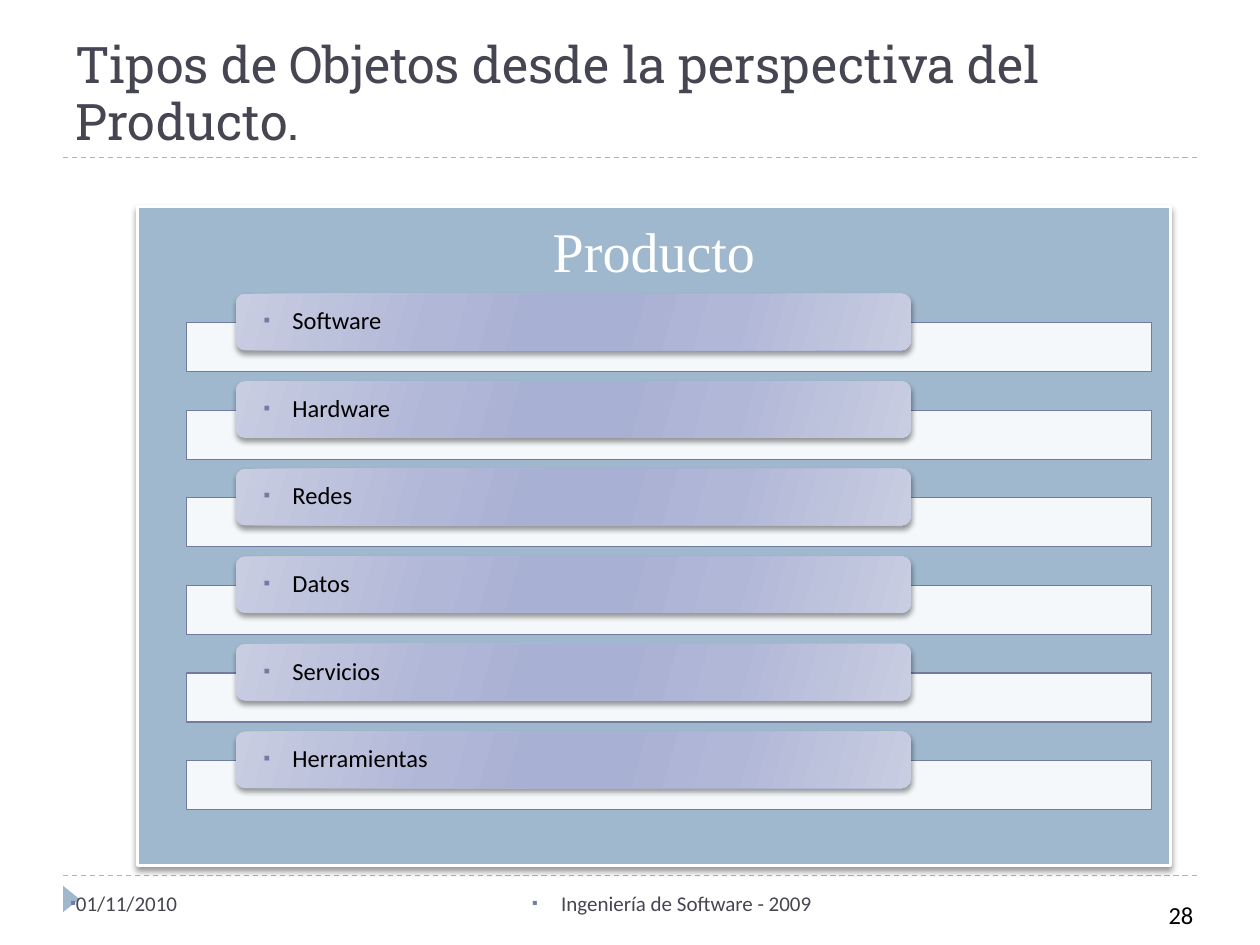
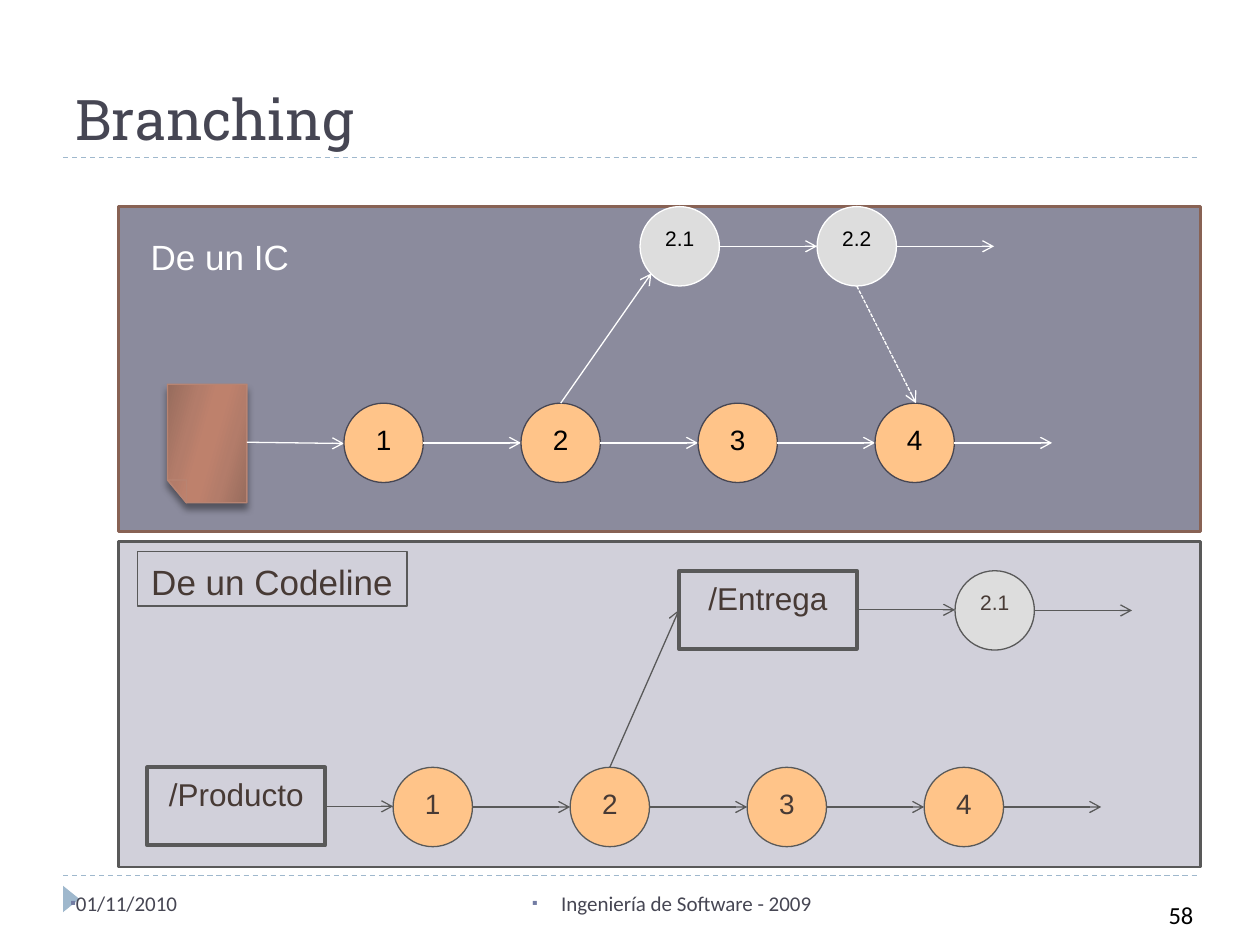
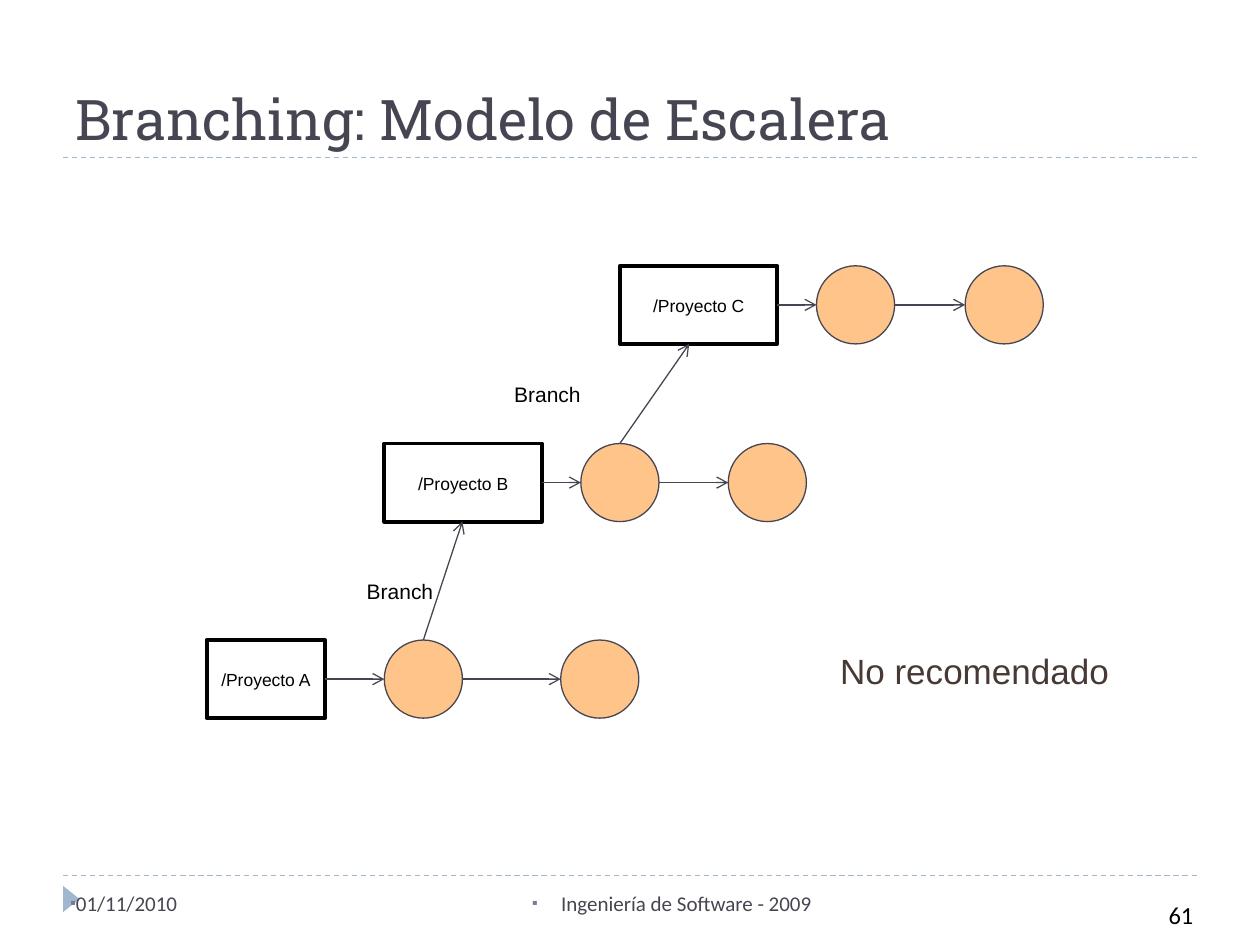
from dataclasses import dataclass
from itertools import pairwise

from lxml import etree
from pptx import Presentation
from pptx.dml.color import RGBColor
from pptx.enum import dml, shapes, text
from pptx.oxml.ns import qn
from pptx.util import Inches, Pt


@dataclass(frozen=True)
class Theme:
    ink: str = "464653"
    accent: str = "9FB8CD"
    bullet: str = "727CA3"
    white: str = "FFFFFF"
    black: str = "000000"
    brown: str = "473A35"
    grey: str = "595959"
    orange: str = "FFC489"
    silver: str = "DDDDDD"
    dusk: str = "8B8B9D"
    rust: str = "886254"
    mist: str = "D1D0DA"
    clay: str = "B88472"
    lavender: tuple = ("C9CDE2", "B1B7D7", "A8B0D3")
    copper: tuple = ("976C5D", "B37C6A", "BE816C")
    title_font: str = "Roboto Slab"
    body_font: str = "Calibri"
    label_font: str = "Arial"
    panel_font: str = "Times New Roman"
    title: float = 32
    long_title: float = 28.8
    panel: float = 32
    heading: float = 20
    codeline: float = 18
    node: float = 16
    item: float = 14
    small: float = 12
    box: float = 10
    thin: float = 0.75
    thick: float = 2.25


T = Theme()
KIND = shapes.MSO_SHAPE
LEFT, CENTER, RIGHT = text.PP_ALIGN.LEFT, text.PP_ALIGN.CENTER, text.PP_ALIGN.RIGHT
TOP, MIDDLE, BOTTOM = text.MSO_ANCHOR.TOP, text.MSO_ANCHOR.MIDDLE, text.MSO_ANCHOR.BOTTOM

DATE = "01/11/2010"
COURSE = "Ingeniería de Software - 2009"

PRODUCT = "Producto"
PRODUCT_PARTS = ["Software", "Hardware", "Redes", "Datos", "Servicios", "Herramientas"]

VERSIONS = ["1", "2", "3", "4"]
VERSION_SIZE, VERSION_PITCH = 0.63, 1.405
DOCUMENT = [(1.33, 3.05), (1.96, 3.05), (1.96, 3.99), (1.48, 3.99), (1.33, 3.81)]
DOCUMENT_FOLD = [(1.33, 3.81), (1.48, 3.81), (1.48, 3.99)]
CODELINES = [("/Producto", 1.17, 6.09), ("/Entrega", 5.39, 4.53)]

PROJECT_SIZE = 0.62
PROJECTS = [
    ("/Proyecto A", 1.64, 5.08, 0.94, (3.05, 4.45)),
    ("/Proyecto B", 3.05, 3.52, 1.25, (4.61, 5.78)),
    ("/Proyecto C", 4.92, 2.11, 1.25, (6.48, 7.66)),
]
BRANCH = "Branch"
BRANCHES = [(3.67, 2.81, 4.53), (5.47, 3.98, 2.97)]
VERDICT = "No recomendado"


def rgb(color):
    return RGBColor.from_string(color)


def child(parent, tag, **attributes):
    part = etree.SubElement(parent, qn(tag))
    for key, value in attributes.items():
        part.set(key, str(value))
    return part


def write(shape, words, size, color, font=T.label_font, align=CENTER, anchor=TOP,
          wrap=True, spacing=1.05):
    frame = shape.text_frame
    frame.word_wrap = wrap
    frame.vertical_anchor = anchor
    line = frame.paragraphs[0]
    line.alignment = align
    line.line_spacing = spacing
    run = line.add_run()
    run.text = words
    run.font.size = Pt(size)
    run.font.name = font
    run.font.color.rgb = rgb(color)
    return shape


def add_bullet(shape, indent):
    props = shape.text_frame.paragraphs[0]._p.get_or_add_pPr()
    props.set("marL", str(Inches(indent)))
    props.set("indent", str(-Inches(indent)))
    child(child(props, "a:buClr"), "a:srgbClr", val=T.bullet)
    child(props, "a:buSzPct", val=76000)
    child(props, "a:buFont", typeface=T.body_font)
    child(props, "a:buChar", char="▪")


def fill_gradient(shape, colors):
    edge, near, core = colors
    shape.fill.background()
    empty = shape._element.spPr.find(qn("a:noFill"))
    gradient = etree.Element(qn("a:gradFill"), rotWithShape="1")
    stops = child(gradient, "a:gsLst")
    for percent, color in zip((0, 30, 45, 55, 73, 100), (edge, near, core, core, near, edge)):
        child(child(stops, "a:gs", pos=percent * 1000), "a:srgbClr", val=color)
    child(gradient, "a:lin", ang=16 * 60000, scaled=0)
    empty.getparent().replace(empty, gradient)


def cast_shadow(shape, blur=3, distance=2):
    effects = shape._element.spPr.find(qn("a:effectLst"))
    shadow = child(effects, "a:outerShdw", blurRad=Pt(blur), dist=Pt(distance),
                   dir=90 * 60000, algn="t", rotWithShape=0)
    child(child(shadow, "a:srgbClr", val=T.black), "a:alpha", val=40000)


def paint(shape, fill=None, line=None, width=T.thin):
    shape.shadow.inherit = False
    if isinstance(fill, tuple):
        fill_gradient(shape, fill)
    elif fill:
        shape.fill.solid()
        shape.fill.fore_color.rgb = rgb(fill)
    else:
        shape.fill.background()
    if line:
        shape.line.color.rgb = rgb(line)
        shape.line.width = Pt(width)
    else:
        shape.line.fill.background()
    return shape


def draw(slide, kind, at, fill=None, line=None, width=T.thin):
    return paint(slide.shapes.add_shape(kind, *map(Inches, at)), fill, line, width)


def outline(slide, corners, fill=None, line=None):
    first, *rest = [tuple(map(Inches, corner)) for corner in corners]
    builder = slide.shapes.build_freeform(*first, scale=1.0)
    builder.add_line_segments(rest, close=True)
    return paint(builder.convert_to_shape(), fill, line)


def label(slide, at, words, size, color, **style):
    return write(slide.shapes.add_textbox(*map(Inches, at)), words, size, color, **style)


def connect(slide, start, end, color, dash=None, arrow=True):
    link = slide.shapes.add_connector(shapes.MSO_CONNECTOR.STRAIGHT,
                                      *map(Inches, (*start, *end)))
    link.line.color.rgb = rgb(color)
    link.line.width = Pt(T.thin)
    if dash:
        link.line.dash_style = dash
    props = link._element.spPr
    if arrow:
        child(props.find(qn("a:ln")), "a:tailEnd", type="arrow")
    child(props, "a:effectLst")


def add_page(deck, title, number, size=T.title, spacing=1.0):
    slide = deck.slides.add_slide(deck.slide_layouts[6])
    for y in (6.95, 1.25):
        connect(slide, (0.5, y), (9.5, y), T.accent, dml.MSO_LINE.DASH, arrow=False)
    draw(slide, KIND.ISOSCELES_TRIANGLE, (0.46, 7.07, 0.21, 0.13), T.accent).rotation = 90
    label(slide, (0.5, 0.17, 9, 1.08), title, size, T.ink, font=T.title_font,
          align=LEFT, anchor=BOTTOM, spacing=spacing)
    footers = [
        ((0.46, 7.02, 2.33, 0.4), DATE, LEFT, 0),
        ((3.37, 7.02, 3.17, 0.4), COURSE, RIGHT, 0.23),
    ]
    for at, words, align, indent in footers:
        footer = label(slide, at, words, T.small, T.ink, font=T.body_font,
                       align=align, spacing=1.0)
        add_bullet(footer, indent)
    label(slide, (7.66, 7.09, 1.91, 0.33), number, T.item, T.black, font=T.body_font,
          align=RIGHT, spacing=1.0)
    return slide


def add_versions(slide, names, left, top, fill, size, edge, ink, arrow):
    middle = top + VERSION_SIZE / 2
    for index, name in enumerate(names):
        x = left + index * VERSION_PITCH
        circle = draw(slide, KIND.OVAL, (x, top, VERSION_SIZE, VERSION_SIZE), fill, edge)
        write(circle, name, size, ink, wrap=False)
        connect(slide, (x + VERSION_SIZE, middle), (x + VERSION_PITCH, middle), arrow)


def build_products(deck):
    slide = add_page(deck, "Tipos de Objetos desde la perspectiva del Producto.", "28",
                     T.long_title, 0.93)
    panel = draw(slide, KIND.RECTANGLE, (1.09, 1.64, 8.2, 5.23), T.accent, T.white, 2)
    cast_shadow(panel)
    write(panel, PRODUCT, T.panel, T.white, font=T.panel_font)
    for index, part in enumerate(PRODUCT_PARTS):
        top = 2.33 + index * 0.695
        bar = draw(slide, KIND.RECTANGLE, (1.48, top + 0.23, 7.66, 0.39), T.white, T.bullet)
        color = bar._element.spPr.find(qn("a:solidFill")).find(qn("a:srgbClr"))
        child(color, "a:alpha", val=90000)
        tab = draw(slide, KIND.ROUNDED_RECTANGLE, (1.87, top, 5.36, 0.45), T.lavender)
        cast_shadow(tab)
        write(tab, part, T.item, T.black, font=T.body_font, align=LEFT,
              anchor=MIDDLE, spacing=0.9)
        frame = tab.text_frame
        frame.margin_left = frame.margin_right = Inches(0.2)
        frame.margin_top = frame.margin_bottom = 0
        add_bullet(tab, 0.23)


def build_branching(deck):
    slide = add_page(deck, "Branching", "58")
    draw(slide, KIND.RECTANGLE, (0.94, 1.64, 8.59, 2.58), T.dusk, T.rust, 1.5)
    draw(slide, KIND.RECTANGLE, (0.94, 4.3, 8.59, 2.58), T.mist, T.grey, 1.5)

    cast_shadow(outline(slide, DOCUMENT, T.copper, T.clay), 4, 3.4)
    outline(slide, DOCUMENT_FOLD, line=T.clay)
    connect(slide, (1.96, 3.51), (2.73, 3.52), T.white)
    add_versions(slide, VERSIONS, 2.73, 3.2, T.orange, T.node, T.ink, T.black, T.white)
    add_versions(slide, ["2.1", "2.2"], 5.08, 1.64, T.silver, T.small,
                 T.white, T.black, T.white)
    connect(slide, (4.45, 3.2), (5.17, 2.17), T.white)
    connect(slide, (6.8, 2.27), (7.27, 3.2), T.white, dml.MSO_LINE.SQUARE_DOT)

    add_versions(slide, VERSIONS, 3.12, 6.09, T.orange, T.node, T.grey, T.brown, T.grey)
    add_versions(slide, ["2.1"], 7.58, 4.53, T.silver, T.small, T.grey, T.brown, T.grey)
    connect(slide, (4.84, 6.09), (5.39, 4.84), T.grey)
    for (name, left, top), first_version in zip(CODELINES, (3.12, 7.58)):
        box = draw(slide, KIND.RECTANGLE, (left, top, 1.41, 0.62), line=T.grey, width=T.thick)
        write(box, name, T.codeline, T.brown)
        connect(slide, (left + 1.41, top + 0.31), (first_version, top + 0.31), T.grey)

    label(slide, (1.09, 1.8, 1.31, 0.43), "De un IC", T.heading, T.white, wrap=False)
    heading = draw(slide, KIND.RECTANGLE, (1.09, 4.38, 2.14, 0.43), line=T.grey)
    write(heading, "De un Codeline", T.heading, T.brown, wrap=False)


def build_ladder(deck):
    slide = add_page(deck, "Branching: Modelo de Escalera", "61")
    for name, left, top, width, versions in PROJECTS:
        box = draw(slide, KIND.RECTANGLE, (left, top, width, PROJECT_SIZE),
                   line=T.black, width=T.thick)
        write(box, name, T.box, T.black, anchor=MIDDLE, wrap=False)
        middle, exit_x = top + PROJECT_SIZE / 2, left + width
        for x in versions:
            draw(slide, KIND.OVAL, (x, top, PROJECT_SIZE, PROJECT_SIZE), T.orange, T.ink)
            connect(slide, (exit_x, middle), (x, middle), T.ink)
            exit_x = x + PROJECT_SIZE
    for (lower, upper), (target, left, top) in zip(pairwise(PROJECTS), BRANCHES):
        source = lower[4][0] + PROJECT_SIZE / 2
        connect(slide, (source, lower[2]), (target, upper[2] + PROJECT_SIZE), T.ink)
        label(slide, (left, top, 0.73, 0.3), BRANCH, T.small, T.black, wrap=False)
    label(slide, (6.56, 5.09, 2.35, 0.43), VERDICT, T.heading, T.brown, wrap=False)


def main():
    deck = Presentation()
    deck.slide_width, deck.slide_height = Inches(10), Inches(7.5)
    build_products(deck)
    build_branching(deck)
    build_ladder(deck)
    deck.save("out.pptx")


if __name__ == "__main__":
    main()
